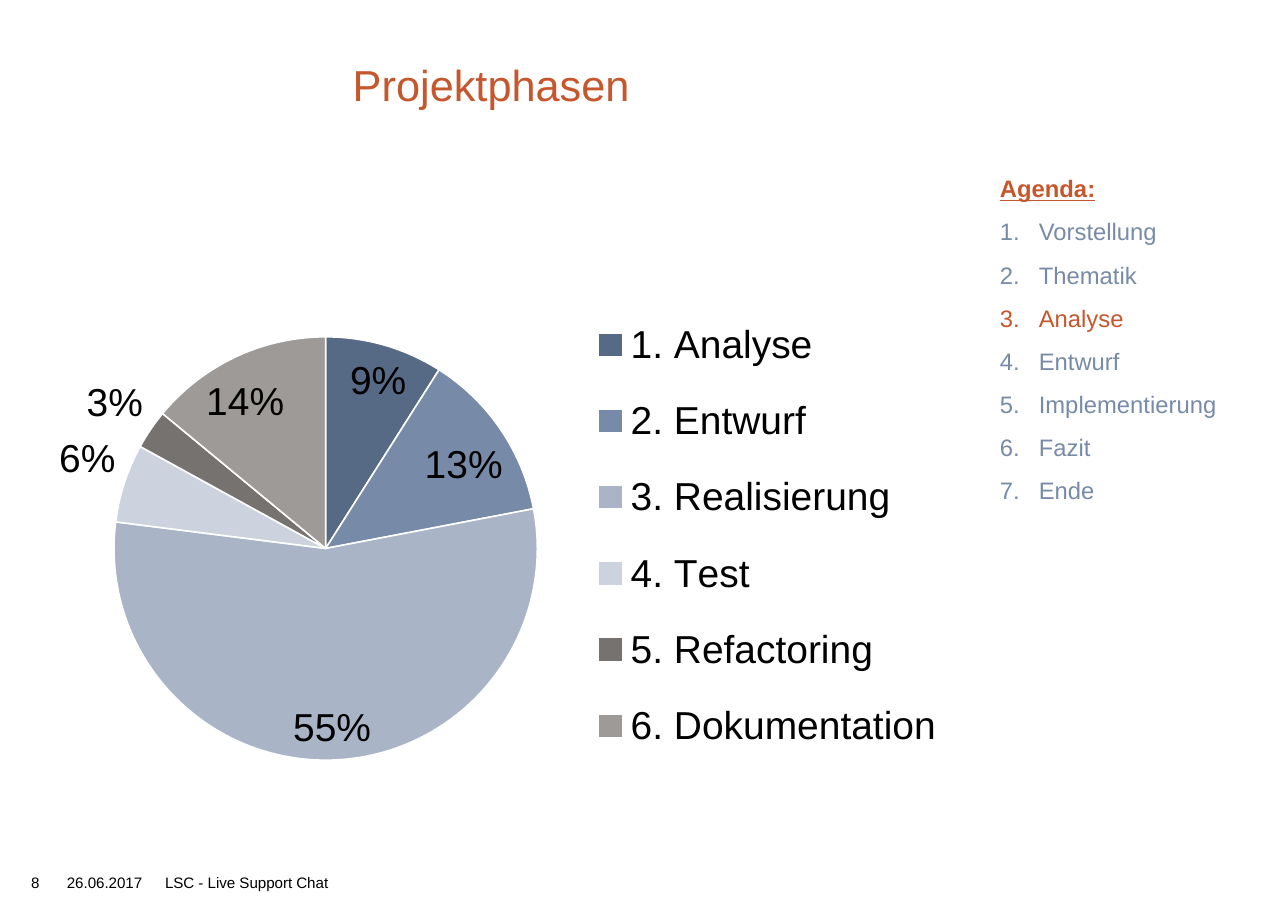
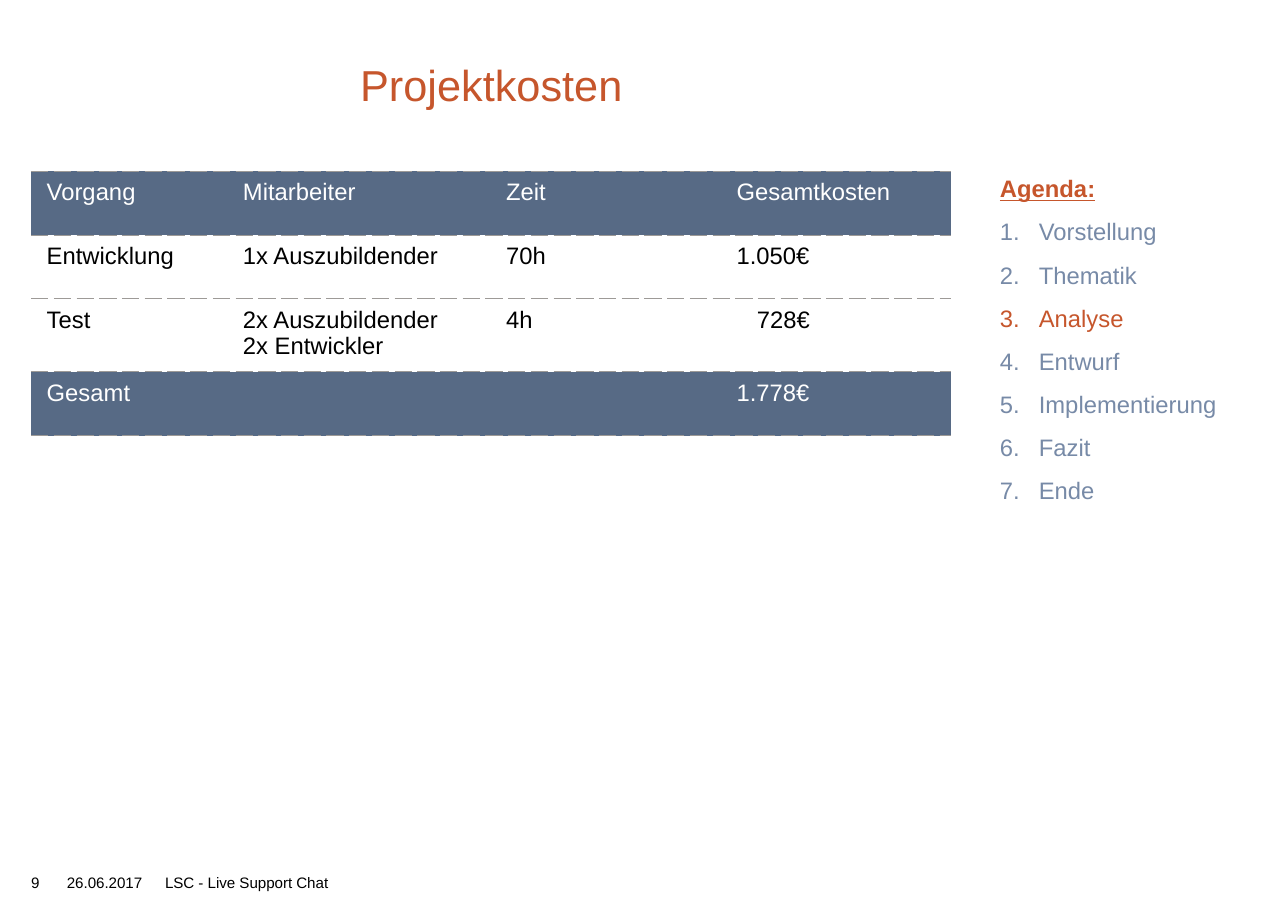
import pptx
import pptx.chart.data
import pptx.dml.color
import pptx.enum.chart
import pptx.enum.text
import pptx.oxml
import pptx.oxml.ns
import pptx.util
from lxml import etree

Inches, Pt = pptx.util.Inches, pptx.util.Pt
qn = pptx.oxml.ns.qn

FONT = "Arial"
COLORS = {
    "accent": "C6562C", "muted": "778AA7", "dark": "576A85", "light": "A9B5C7",
    "pale": "CCD3DE", "stone": "75726F", "gray": "9D9A97",
    "text": "000000", "white": "FFFFFF",
}
AGENDA = ["Vorstellung", "Thematik", "Analyse", "Entwurf", "Implementierung",
          "Fazit", "Ende"]
CONTENT = (0.2, 1.1, 5.91, 4.25)
NO_TABLE_STYLE = "{2D5ABB26-0587-4C30-8999-92F81FD0307C}"


def rgb(name):
    return pptx.dml.color.RGBColor.from_string(COLORS[name])


def place(sp, left, top, width, height):
    sp.left, sp.top = Inches(left), Inches(top)
    sp.width, sp.height = Inches(width), Inches(height)


def style_font(font, size, color):
    font.name, font.size = FONT, Pt(size)
    font.color.rgb = rgb(color)


def set_text(tf, text, size, color):
    tf.text = text
    for p in tf.paragraphs:
        for r in p.runs:
            style_font(r.font, size, color)


def no_margins(tf):
    tf.margin_left = tf.margin_top = tf.margin_right = tf.margin_bottom = 0


def set_layout(parent, index, x, y, w, h, inner=False):
    """Give a chart part a manual layout, in fractions of the chart's size."""
    for old in parent.findall(qn("c:layout")):
        parent.remove(old)
    layout = etree.Element(qn("c:layout"))
    manual = etree.SubElement(layout, qn("c:manualLayout"))
    values = [("xMode", "edge"), ("yMode", "edge"),
              ("x", x), ("y", y), ("w", w), ("h", h)]
    if inner:
        values.insert(0, ("layoutTarget", "inner"))
    for tag, value in values:
        etree.SubElement(manual, qn("c:" + tag)).set("val", str(value))
    parent.insert(index, layout)


def dash_border(cell):
    """Draw dashed lines above and below a cell."""
    tc_pr = cell._tc.get_or_add_tcPr()
    for side in ("a:lnT", "a:lnB"):
        ln = etree.SubElement(tc_pr, qn(side), w=str(Pt(0.5)))
        fill = etree.SubElement(ln, qn("a:solidFill"))
        etree.SubElement(fill, qn("a:srgbClr"), val=COLORS["gray"])
        etree.SubElement(ln, qn("a:prstDash"), val="dash")


class Deck:
    def __init__(self):
        self.prs = pptx.Presentation()
        self.prs.slide_width, self.prs.slide_height = Inches(8.27), Inches(5.83)
        self.slide = None

    def new_slide(self, title, number, current):
        self.slide = self.prs.slides.add_slide(self.prs.slide_layouts[5])
        self.title(title)
        self.agenda(current)
        self.footer(number)

    def title(self, text):
        sp = self.slide.shapes.title
        place(sp, 0.2, 0.16, 5.91, 0.55)
        tf = sp.text_frame
        no_margins(tf)
        tf.auto_size = pptx.enum.text.MSO_AUTO_SIZE.NONE
        tf.vertical_anchor = pptx.enum.text.MSO_ANCHOR.BOTTOM
        set_text(tf, text, 20, "accent")
        tf.paragraphs[0].alignment = pptx.enum.text.PP_ALIGN.CENTER

    def text(self, text, box, size, color):
        sp = self.slide.shapes.add_textbox(*map(Inches, box))
        tf = sp.text_frame
        tf.word_wrap = True
        no_margins(tf)
        set_text(tf, text, size, color)
        return tf

    def agenda(self, current):
        tf = self.text("\n".join(["Agenda:"] + AGENDA),
                       (6.42, 1.1, 1.65, 4.25), 11, "muted")
        for p in tf.paragraphs:
            p.line_spacing = 1.1
            p.space_before = p.space_after = Pt(2.7)
            if p.text in ("Agenda:", current):
                p.runs[0].font.color.rgb = rgb("accent")
        heading, *items = tf.paragraphs
        heading.runs[0].font.bold = heading.runs[0].font.underline = True
        for p in items:
            p_pr = p._p.get_or_add_pPr()
            p_pr.set("marL", str(Inches(0.25)))
            p_pr.set("indent", str(Inches(-0.25)))
            etree.SubElement(p_pr, qn("a:buAutoNum"), type="arabicPeriod")

    def footer(self, number):
        for text, left, width in [("26.06.2017", 0.43, 0.63),
                                  ("LSC - Live Support Chat", 1.06, 5.04),
                                  (str(number), 0.2, 0.24)]:
            self.text(text, (left, 5.61, width, 0.14), 7, "text")

    def pie(self, slices):
        """Add a pie chart from (category, value, colour) rows."""
        data = pptx.chart.data.CategoryChartData()
        data.categories = [name for name, _, _ in slices]
        data.add_series("Series 1", [value for _, value, _ in slices])
        chart = self.slide.shapes.add_chart(
            pptx.enum.chart.XL_CHART_TYPE.PIE, *map(Inches, CONTENT), data).chart
        style_font(chart.font, 18, "text")
        chart.has_title = False
        chart.has_legend = True
        chart.legend.position = pptx.enum.chart.XL_LEGEND_POSITION.RIGHT
        chart.legend.include_in_layout = False

        plot = chart.plots[0]
        plot.vary_by_categories = True
        for i, (_, _, color) in enumerate(slices):
            fmt = plot.series[0].points[i].format
            fmt.fill.solid()
            fmt.fill.fore_color.rgb = rgb(color)
            fmt.line.color.rgb = rgb("white")
            fmt.line.width = Pt(0.75)
        plot.has_data_labels = True
        labels = plot.data_labels
        labels.show_percentage, labels.show_value = True, False
        labels.number_format, labels.number_format_is_linked = "0%", False
        labels.position = pptx.enum.chart.XL_LABEL_POSITION.BEST_FIT
        style_font(labels.font, 18, "text")

        plot_area = chart._chartSpace.find(".//" + qn("c:plotArea"))
        set_layout(plot_area, 0, 0.09, 0.25, 0.46, 0.64, inner=True)
        set_layout(chart.legend._element, 1, 0.6, 0.18, 0.4, 0.74)

    def table(self, rows, widths, row_height):
        """Add a table whose first and last rows are dark bands."""
        left, top, width, _ = CONTENT
        frame = self.slide.shapes.add_table(
            len(rows), len(widths), Inches(left), Inches(top),
            Inches(width), Inches(row_height * len(rows)))
        table = frame.table
        table.horz_banding = False
        table._tbl.tblPr.find(qn("a:tableStyleId")).text = NO_TABLE_STYLE
        for column, w in zip(table.columns, widths):
            column.width = Inches(w)
        for i, row in enumerate(rows):
            band = i in (0, len(rows) - 1)
            for j, text in enumerate(row):
                cell = table.cell(i, j)
                set_text(cell.text_frame, text, 11, "white" if band else "text")
                dash_border(cell)
                if band:
                    cell.fill.solid()
                    cell.fill.fore_color.rgb = rgb("dark")
                else:
                    cell.fill.background()
        return table


def main():
    deck = Deck()

    deck.new_slide("Projektphasen", 8, "Analyse")
    deck.pie([
        ("1. Analyse", 9, "dark"),
        ("2. Entwurf", 13, "muted"),
        ("3. Realisierung", 55, "light"),
        ("4. Test", 6, "pale"),
        ("5. Refactoring", 3, "stone"),
        ("6. Dokumentation", 14, "gray"),
    ])

    deck.new_slide("Projektkosten", 9, "Analyse")
    costs = deck.table([
        ["Vorgang", "Mitarbeiter", "Zeit", "Gesamtkosten"],
        ["Entwicklung", "1x Auszubildender", "70h", "1.050€"],
        ["Test", "2x Auszubildender\n2x Entwickler", "4h", "728€"],
        ["Gesamt", "", "", "1.778€"],
    ], [1.26, 1.69, 1.48, 1.48], 0.41)
    costs.cell(2, 3).margin_left = Inches(0.23)

    deck.prs.save("out.pptx")


if __name__ == "__main__":
    main()
